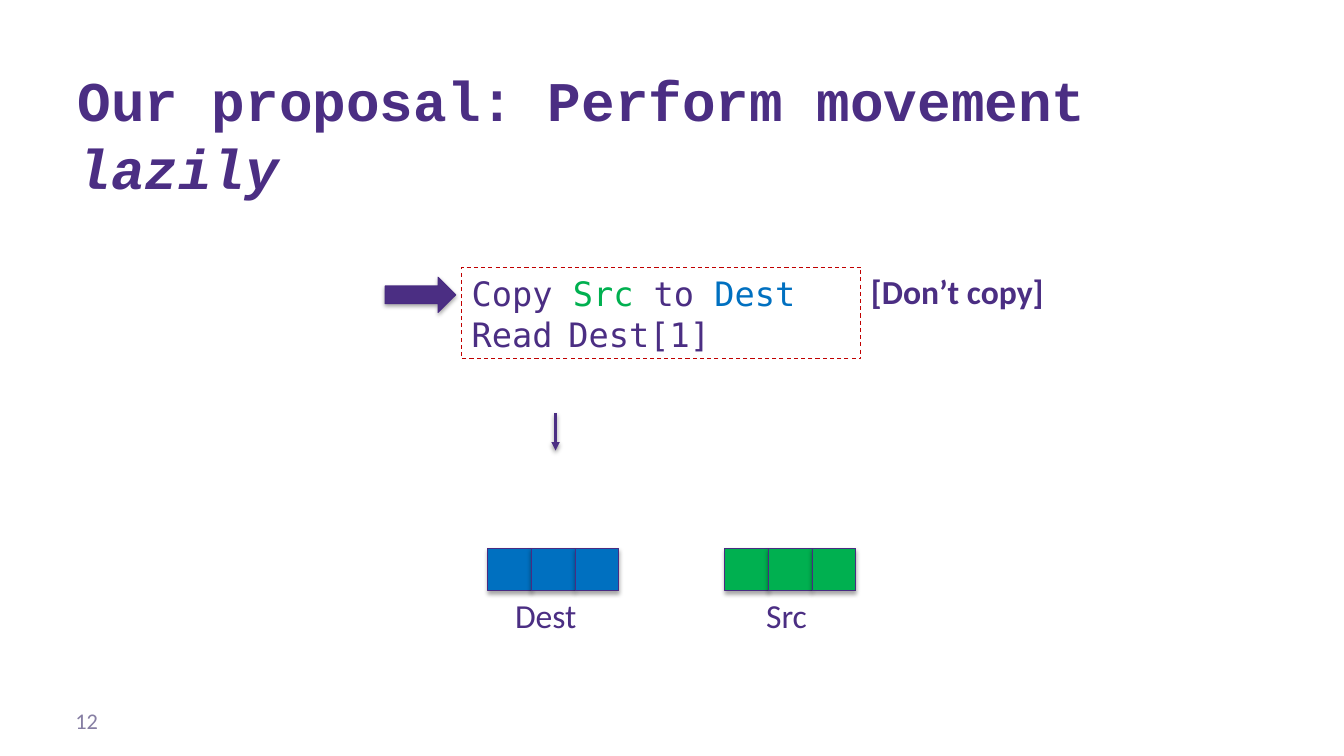
from lxml import etree
from pptx import Presentation
from pptx.dml.color import RGBColor
from pptx.enum.dml import MSO_LINE
from pptx.enum.shapes import MSO_CONNECTOR, MSO_SHAPE
from pptx.enum.text import MSO_ANCHOR, PP_ALIGN
from pptx.oxml.ns import qn
from pptx.util import Inches, Pt

RECTANGLE, RIGHT_ARROW = MSO_SHAPE.RECTANGLE, MSO_SHAPE.RIGHT_ARROW
STRAIGHT = MSO_CONNECTOR.STRAIGHT
DASH = MSO_LINE.DASH
TOP, MIDDLE, BOTTOM = MSO_ANCHOR.TOP, MSO_ANCHOR.MIDDLE, MSO_ANCHOR.BOTTOM
LEFT = PP_ALIGN.LEFT

PURPLE, OUTLINE, GREEN, BLUE, RED = "4B2E83", "492B82", "00B050", "0070C0", "C00000"
MUTED = "867EA3"
CODE_FONT = "DejaVu Sans Mono"
CODE_SPACING = 29.3


def rgb(value):
    return RGBColor.from_string(value)


def write_text(shape, paragraphs, font="Calibri", size=24, color=PURPLE, bold=False,
               anchor=TOP, wrap=True, spacing=None):
    frame = shape.text_frame
    frame.word_wrap = wrap
    frame.vertical_anchor = anchor
    for index, pieces in enumerate(paragraphs):
        paragraph = frame.add_paragraph() if index else frame.paragraphs[0]
        paragraph.alignment = LEFT
        if spacing:
            paragraph.line_spacing = Pt(spacing)
        for words, changes in pieces:
            run = paragraph.add_run()
            run.text = words
            run.font.name = font
            run.font.size = Pt(size)
            run.font.bold = bold
            run.font.italic = changes.get("italic", False)
            run.font.color.rgb = rgb(changes.get("color", color))


def add_text(slide, box, paragraphs, **style):
    holder = slide.shapes.add_textbox(*map(Inches, box))
    write_text(holder, paragraphs, **style)
    return holder


def add_shadow(shape, opacity=35, distance=1.8):
    effects = etree.SubElement(shape._element.spPr, qn("a:effectLst"))
    shadow = etree.SubElement(effects, qn("a:outerShdw"), blurRad=str(Pt(3.1)),
                              dist=str(Pt(distance)), dir="5400000", rotWithShape="0")
    black = etree.SubElement(shadow, qn("a:srgbClr"), val="000000")
    etree.SubElement(black, qn("a:alpha"), val=str(opacity * 1000))


def add_solid(slide, preset, box, fill):
    solid = slide.shapes.add_shape(preset, *map(Inches, box))
    solid.fill.solid()
    solid.fill.fore_color.rgb = rgb(fill)
    solid.line.color.rgb = rgb(OUTLINE)
    solid.line.width = Pt(0.75)
    add_shadow(solid)


def add_title(slide, box):
    title = add_text(slide, box, [[("Our proposal: Perform movement ", {}),
                                   ("lazily", {"italic": True})]],
                     font="Courier New", size=40, bold=True, anchor=BOTTOM, spacing=48.6)
    title.text_frame.margin_bottom = 0


def add_code(slide, box):
    left, top, width, height = box
    code = slide.shapes.add_shape(RECTANGLE, *map(Inches, box))
    code.shadow.inherit = False
    code.fill.background()
    code.line.color.rgb = rgb(RED)
    code.line.width = Pt(0.75)
    code.line.dash_style = DASH
    write_text(code, [[("Copy ", {}), ("Src", {"color": GREEN}),
                       (" to ", {}), ("Dest", {"color": BLUE})],
                      [("Read", {})]], font=CODE_FONT, spacing=CODE_SPACING)
    add_text(slide, (left + 0.96, top + 0.41, 1.66, 0.5), [[("Dest[1]", {})]],
             font=CODE_FONT, spacing=CODE_SPACING)
    add_solid(slide, RIGHT_ARROW, (left - 0.76, top + 0.1, 0.7, 0.35), PURPLE)
    add_text(slide, (left + width, top - 0.01, 1.93, 0.5), [[("[Don’t copy]", {})]],
             bold=True, wrap=False)


def add_step_arrow(slide, x, top, length):
    step = slide.shapes.add_connector(STRAIGHT, Inches(x), Inches(top),
                                      Inches(x), Inches(top + length))
    step.line.color.rgb = rgb(PURPLE)
    step.line.width = Pt(2)
    etree.SubElement(step.line._get_or_add_ln(), qn("a:tailEnd"), type="triangle")
    add_shadow(step, opacity=38, distance=1.6)


def add_buffer(slide, left, top, fill, label, label_offset, label_width):
    for cell in range(3):
        add_solid(slide, RECTANGLE, (left + cell * 0.435, top, 0.43, 0.42), fill)
    add_text(slide, (left + label_offset, top + 0.41, label_width, 0.5),
             [[(label, {})]], wrap=False)


def add_page_number(slide, box, number):
    add_text(slide, box, [[(number, {})]], size=16, color=MUTED, anchor=MIDDLE)


def main():
    deck = Presentation()
    deck.slide_width, deck.slide_height = Inches(13.33), Inches(7.5)
    slide = deck.slides.add_slide(deck.slide_layouts[6])
    add_title(slide, (0.67, 0.54, 11.92, 1.45))
    add_code(slide, (4.58, 2.65, 3.96, 0.91))
    add_step_arrow(slide, 5.51, 4.1, 0.37)
    add_buffer(slide, 4.84, 5.44, BLUE, "Dest", 0.17, 0.82)
    add_buffer(slide, 7.19, 5.44, GREEN, "Src", 0.31, 0.61)
    add_page_number(slide, (0.65, 6.95, 3, 0.4), "12")
    deck.save("out.pptx")


if __name__ == "__main__":
    main()
